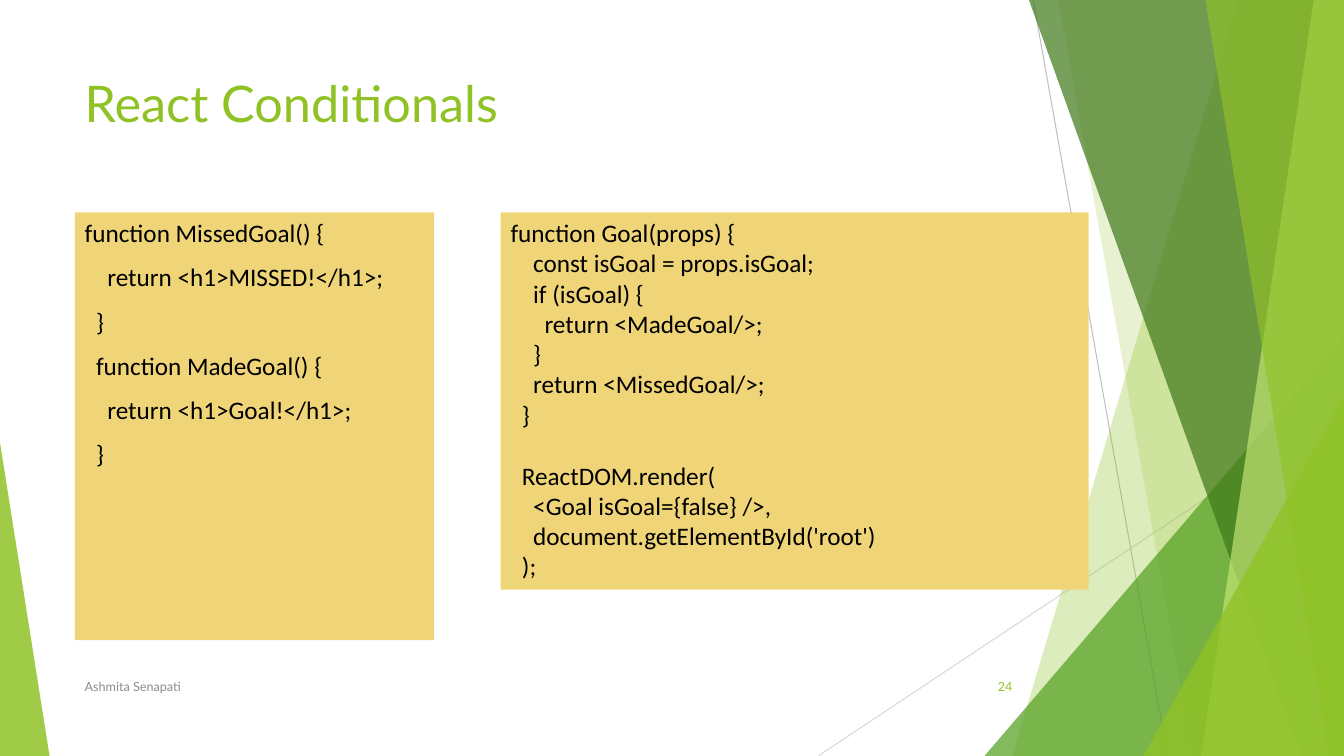
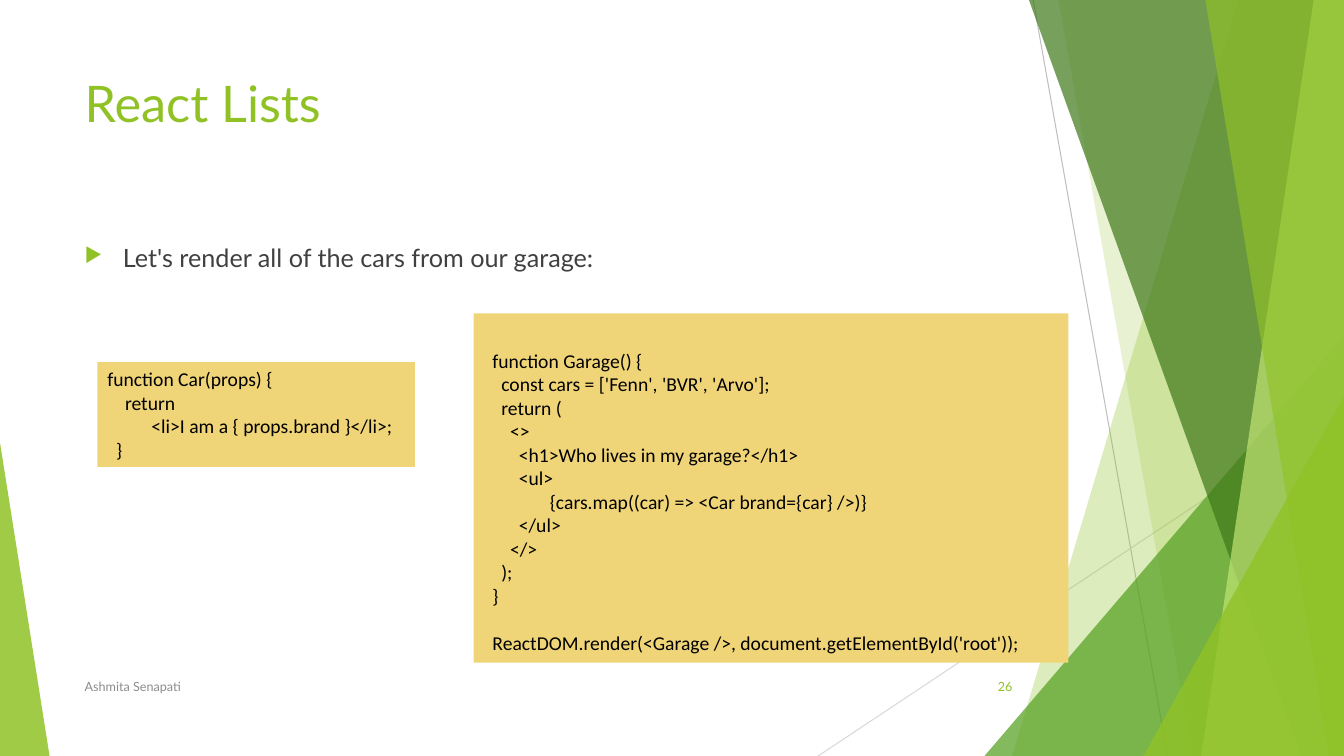
from pptx import Presentation
from pptx.dml.color import RGBColor
from pptx.enum.shapes import MSO_CONNECTOR, MSO_SHAPE
from pptx.enum.text import MSO_ANCHOR, PP_ALIGN
from pptx.oxml.ns import qn
from pptx.util import Inches, Pt
from lxml.etree import SubElement

COLUMNS, ROWS = 16, 9
CELL = Inches(7.5) / ROWS
LIME, LEAF, FOREST, PALE = "90C226", "54A021", "3F7819", "C0E474"
SAND, BLACK, BODY, GREY = "F0D578", "000000", "404040", "8C8C8C"
HEADING_FONT, CODE_FONT = "Lato", "Calibri"
AUTHOR = "Ashmita Senapati"
INDENT_EM = 0.45
LINE_EM = 1.22

TITLE_BOX = (0.89, 0.8, 11.28, 1.73)
AUTHOR_BOX = (0.89, 7.93, 8.27, 0.48)
NUMBER_BOX = (11.27, 7.93, 0.9, 0.48)

RAYS = [((12.3, 0), (13.9, ROWS), "BFBFBF"),
        ((COLUMNS, 4.84), (9.74, ROWS), "D9D9D9")]
# Each facet is a band (top x, bottom x) or a triangle (left, top, width, apex).
FACETS = [("band", (14.74, 12.05), LIME, 30),
          ("band", (12.6, 14.2), LIME, 20),
          ("triangle", (11.72, 4, 4.28, 1), LEAF, 72),
          ("band", (12.25, 15.49), FOREST, 70),
          ("band", (15.64, 14.3), PALE, 70),
          ("band", (14.35, 15.82), LIME, 65),
          ("triangle", (13.61, 4.72, 2.39, 1), LIME, 80),
          ("triangle", (0, 5.27, 0.59, 0), LIME, 85)]

GOAL_RESULTS = [(0, "function MissedGoal() {"), (2, "return <h1>MISSED!</h1>;"), (1, "}"),
                (1, "function MadeGoal() {"), (2, "return <h1>Goal!</h1>;"), (1, "}")]
GOAL_CHOICE = [(0, "function Goal(props) {"), (2, "const isGoal = props.isGoal;"),
               (2, "if (isGoal) {"), (3, "return <MadeGoal/>;"), (2, "}"),
               (2, "return <MissedGoal/>;"), (1, "}"), None,
               (1, "ReactDOM.render("), (2, "<Goal isGoal={false} />,"),
               (2, "document.getElementById('root')"), (1, ");")]
CAR = [(0, "function Car(props) {"), (2, "return"),
       (5, "<li>I am a { props.brand }</li>;"), (1, "}")]
GARAGE = [(1, "function Garage() {"), (2, "const cars = ['Fenn', 'BVR', 'Arvo'];"),
          (2, "return ("), (3, "<>"), (4, "<h1>Who lives in my garage?</h1>"), (4, "<ul>"),
          (7.5, "{cars.map((car) => <Car brand={car} />)}"), (4, "</ul>"), (3, "</>"),
          (2, ");"), (1, "}"), None,
          (1, "ReactDOM.render(<Garage />, document.getElementById('root'));")]


def color(hex_code):
    """Turn a hex string into a colour."""
    return RGBColor.from_string(hex_code)


def cells(*lengths):
    """Convert grid cells to slide units."""
    return [round(length * CELL) for length in lengths]


def paint(shape, hex_code, opacity=100):
    """Give a shape a flat fill without line or shadow."""
    shape.shadow.inherit = False
    shape.line.fill.background()
    shape.fill.solid()
    shape.fill.fore_color.rgb = color(hex_code)
    if opacity < 100:
        tint = shape.fill._xPr.find(qn("a:solidFill"))[0]
        SubElement(tint, qn("a:alpha")).set("val", str(opacity * 1000))


def write(paragraph, words, size, hex_code, font):
    """Add one styled run to a paragraph."""
    run = paragraph.add_run()
    run.text = words
    run.font.size = Pt(size)
    run.font.name = font
    run.font.color.rgb = color(hex_code)


def label(slide, box, words, size, hex_code, anchor=MSO_ANCHOR.TOP, align=PP_ALIGN.LEFT):
    """Place one line of heading-font text in a box and return its paragraph."""
    frame = slide.shapes.add_textbox(*cells(*box)).text_frame
    frame.word_wrap = True
    frame.vertical_anchor = anchor
    paragraph = frame.paragraphs[0]
    paragraph.alignment = align
    write(paragraph, words, size, hex_code, HEADING_FONT)
    return paragraph


def scenery(slide):
    """Draw the rays and translucent facets along the slide's edges."""
    for start, end, hex_code in RAYS:
        ray = slide.shapes.add_connector(MSO_CONNECTOR.STRAIGHT, *cells(*start, *end))
        ray.line.color.rgb = color(hex_code)
        ray.line.width = Pt(0.75)
        SubElement(ray._element.spPr, qn("a:effectLst"))
    for kind, measures, hex_code, opacity in FACETS:
        if kind == "band":
            top, bottom = measures
            outline = slide.shapes.build_freeform(*cells(top, 0))
            outline.add_line_segments(
                [cells(*corner) for corner in ((COLUMNS, 0), (COLUMNS, ROWS), (bottom, ROWS))])
            facet = outline.convert_to_shape()
        else:
            left, top, width, apex = measures
            facet = slide.shapes.add_shape(MSO_SHAPE.ISOSCELES_TRIANGLE,
                                           *cells(left, top, width, ROWS - top))
            facet.adjustments[0] = apex
        paint(facet, hex_code, opacity)


def code_panel(slide, box, lines, size, spacing=0, headroom=0.05):
    """Set indented code on a sand panel; None leaves a line free."""
    panel = slide.shapes.add_shape(MSO_SHAPE.RECTANGLE, *cells(*box))
    paint(panel, SAND)
    frame = panel.text_frame
    frame.word_wrap = True
    frame.vertical_anchor = MSO_ANCHOR.TOP
    frame.margin_top = Inches(headroom)
    for position, line in enumerate(lines):
        if line is None:
            continue
        depth, words = line
        paragraph = frame.add_paragraph() if position else frame.paragraphs[0]
        paragraph.alignment = PP_ALIGN.LEFT
        after_gap = position > 0 and lines[position - 1] is None
        paragraph.space_before = Pt(size * LINE_EM if after_gap else spacing)
        paragraph._p.get_or_add_pPr().set("marL", str(Pt(depth * size * INDENT_EM)))
        write(paragraph, words, size, BLACK, CODE_FONT)


def bullet(slide, box, words):
    """Place a line with a lime arrow bullet."""
    paragraph = label(slide, box, words, 18, BODY)
    paragraph.space_before = Pt(10)
    properties = paragraph._p.get_or_add_pPr()
    hang = Inches(0.38)
    properties.set("marL", str(hang))
    properties.set("indent", str(-hang))
    tint = SubElement(properties, qn("a:buClr"))
    SubElement(tint, qn("a:srgbClr")).set("val", LIME)
    SubElement(properties, qn("a:buSzPct")).set("val", "80000")
    SubElement(properties, qn("a:buChar")).set("char", "\u25b6")


def themed_slide(deck, title, number):
    """Add a slide with scenery, title and footer."""
    slide = deck.slides.add_slide(deck.slide_layouts[6])
    scenery(slide)
    label(slide, TITLE_BOX, title, 36, LIME)
    label(slide, AUTHOR_BOX, AUTHOR, 9, GREY, MSO_ANCHOR.MIDDLE)
    label(slide, NUMBER_BOX, str(number), 9, LIME, MSO_ANCHOR.MIDDLE, PP_ALIGN.RIGHT)
    return slide


def conditionals_slide(deck):
    """Build the slide on conditionals."""
    slide = themed_slide(deck, "React Conditionals", 24)
    code_panel(slide, (0.89, 2.53, 4.28, 5.09), GOAL_RESULTS, 18, spacing=10)
    code_panel(slide, (5.96, 2.53, 7, 4.49), GOAL_CHOICE, 18)


def lists_slide(deck):
    """Build the slide on lists."""
    slide = themed_slide(deck, "React Lists", 26)
    bullet(slide, (0.89, 2.83, 11.28, 5.09), "Let's render all of the cars from our garage:")
    code_panel(slide, (5.64, 3.73, 7.08, 4.16), GARAGE, 14, headroom=0.35)
    code_panel(slide, (1.16, 4.31, 3.78, 1.25), CAR, 14)


def main():
    """Build and save the deck."""
    deck = Presentation()
    deck.slide_width, deck.slide_height = cells(COLUMNS, ROWS)
    conditionals_slide(deck)
    lists_slide(deck)
    deck.save("out.pptx")


main()
